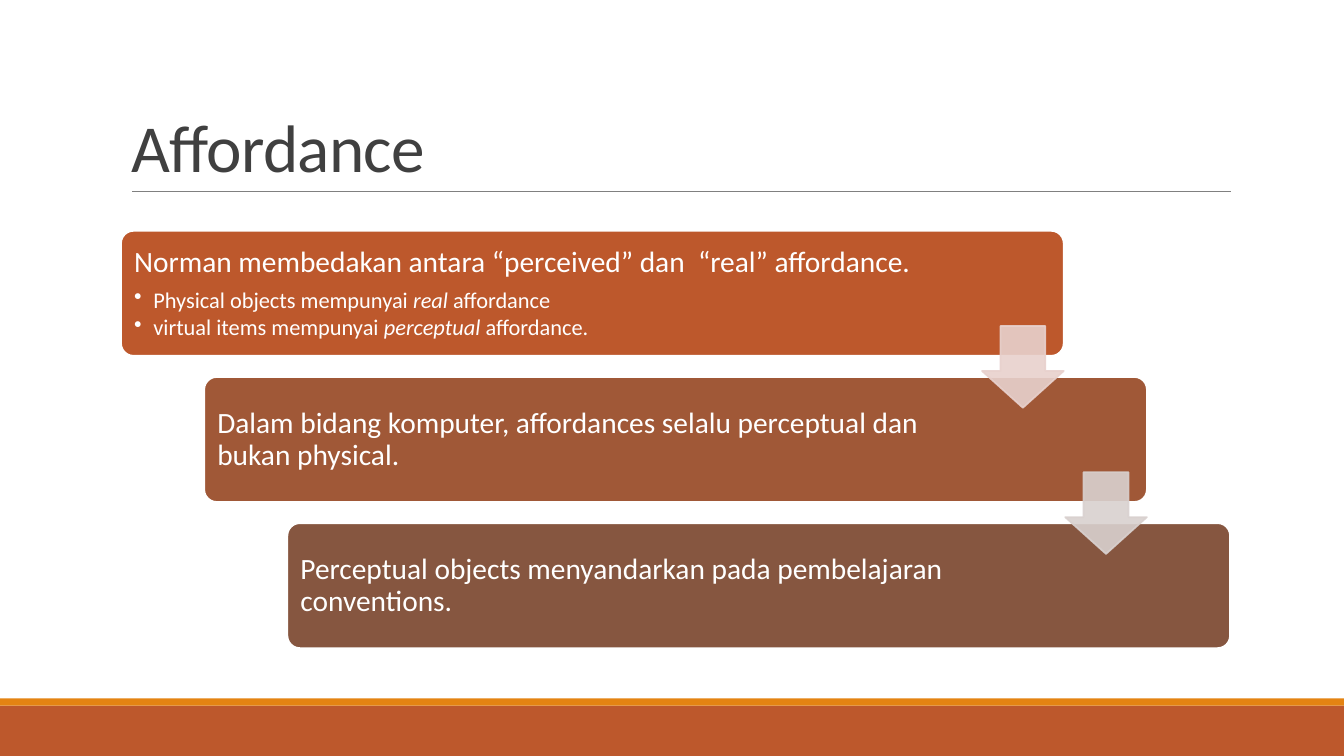
from lxml import etree
from pptx import Presentation
from pptx.dml.color import RGBColor
from pptx.enum import shapes, text
from pptx.oxml import ns
from pptx.util import Inches, Pt

FONT = "Calibri"
WHITE = RGBColor(0xFF, 0xFF, 0xFF)
TITLE_GREY = RGBColor(0x40, 0x40, 0x40)
RULE_GREY = RGBColor(0x80, 0x80, 0x80)
RUST = RGBColor(0xBD, 0x58, 0x2C)
ORANGE = RGBColor(0xE4, 0x83, 0x12)
SIENNA = RGBColor(0xA0, 0x58, 0x37)
BROWN = RGBColor(0x86, 0x56, 0x40)
PINK = RGBColor(0xE8, 0xD1, 0xCD)
PALE_GREY = RGBColor(0xD9, 0xD1, 0xCF)

# Each step: fill, text width, paragraphs of (is bullet, [(text, italic), ...])
STEPS = [
    (RUST, 8.01, [
        (False, [("Norman membedakan antara “perceived” dan  “real” affordance.", False)]),
        (True, [("Physical objects mempunyai ", False), ("real", True), (" affordance", False)]),
        (True, [("virtual items mempunyai ", False), ("perceptual", True), (" affordance.", False)]),
    ]),
    (SIENNA, 7.64, [
        (False, [("Dalam bidang komputer, affordances selalu perceptual dan bukan physical.", False)]),
    ]),
    (BROWN, 7.64, [
        (False, [("Perceptual objects menyandarkan pada pembelajaran conventions.", False)]),
    ]),
]
ARROW_COLORS = [PINK, PALE_GREY]
STEP_LEFT, STEP_TOP, STEP_WIDTH, STEP_HEIGHT = 1.2, 2.29, 9.35, 1.24
SHIFT_X, SHIFT_Y = 0.825, 1.45
ARROW_LEFT, ARROW_TOP, ARROW_SIZE = 9.74, 3.235, 0.81


def add_block(slide, kind, box, fill, line=None):
    shape = slide.shapes.add_shape(kind, *map(Inches, box))
    shape.shadow.inherit = False
    shape.fill.solid()
    shape.fill.fore_color.rgb = fill
    if line is None:
        shape.line.fill.background()
    else:
        shape.line.color.rgb = line
        shape.line.width = Pt(1.25)
    return shape


def add_bullet(paragraph):
    properties = paragraph._p.get_or_add_pPr()
    properties.set("marL", str(Inches(0.19)))
    properties.set("indent", str(-Inches(0.19)))
    etree.SubElement(properties, ns.qn("a:buChar")).set("char", "•")
    paragraph.level = 1


def add_step_text(slide, box, paragraphs):
    frame = slide.shapes.add_textbox(*map(Inches, box)).text_frame
    frame.word_wrap = True
    frame.vertical_anchor = text.MSO_ANCHOR.MIDDLE
    frame.margin_left = frame.margin_right = Inches(0.09)
    frame.margin_top = frame.margin_bottom = Inches(0.09)
    for index, (is_bullet, runs) in enumerate(paragraphs):
        paragraph = frame.add_paragraph() if index else frame.paragraphs[0]
        if is_bullet:
            add_bullet(paragraph)
        paragraph.line_spacing = 0.9
        paragraph.space_after = Pt(2.4 if is_bullet else 7.35)
        paragraph.font.name = FONT
        paragraph.font.size = Pt(16 if is_bullet else 21)
        paragraph.font.color.rgb = WHITE
        for words, italic in runs:
            run = paragraph.add_run()
            run.text = words
            if italic:
                run.font.italic = True


def add_arrow(slide, left, top, color):
    arrow = add_block(slide, shapes.MSO_SHAPE.DOWN_ARROW,
                      (left, top, ARROW_SIZE, ARROW_SIZE), color, color)
    arrow.adjustments[0] = 0.55
    arrow.adjustments[1] = 0.45
    # Fill and outline are 90% opaque
    for color_element in arrow._element.spPr.iter(ns.qn("a:srgbClr")):
        etree.SubElement(color_element, ns.qn("a:alpha")).set("val", "90000")


def add_rule(slide):
    rule = slide.shapes.add_connector(shapes.MSO_CONNECTOR.STRAIGHT, Inches(1.31),
                                      Inches(1.9), Inches(12.21), Inches(1.9))
    rule.line.color.rgb = RULE_GREY
    rule.line.width = Pt(0.5)
    etree.SubElement(rule._element.spPr, ns.qn("a:effectLst"))


def set_title(slide, words):
    title = slide.shapes.title
    title.left, title.top = Inches(1.2), Inches(0.31)
    title.width, title.height = Inches(11), Inches(1.59)
    frame = title.text_frame
    frame.vertical_anchor = text.MSO_ANCHOR.BOTTOM
    paragraph = frame.paragraphs[0]
    paragraph.alignment = text.PP_ALIGN.LEFT
    paragraph.line_spacing = 0.85
    paragraph.font.name = FONT
    paragraph.font.size = Pt(48)
    paragraph.font.color.rgb = TITLE_GREY
    run = paragraph.add_run()
    run.text = words
    run._r.get_or_add_rPr().set("spc", "-50")


def main():
    presentation = Presentation()
    presentation.slide_width = Inches(13.33)
    presentation.slide_height = Inches(7.5)
    slide = presentation.slides.add_slide(presentation.slide_layouts[5])

    # Footer bands, title and rule
    add_block(slide, shapes.MSO_SHAPE.RECTANGLE, (0, 7, 13.33, 0.5), RUST)
    add_block(slide, shapes.MSO_SHAPE.RECTANGLE, (0, 6.93, 13.33, 0.07), ORANGE)
    add_rule(slide)
    set_title(slide, "Affordance")

    # Staggered steps
    for index, (fill, text_width, paragraphs) in enumerate(STEPS):
        left = STEP_LEFT + index * SHIFT_X
        top = STEP_TOP + index * SHIFT_Y
        step = add_block(slide, shapes.MSO_SHAPE.ROUNDED_RECTANGLE,
                         (left, top, STEP_WIDTH, STEP_HEIGHT), fill, WHITE)
        step.adjustments[0] = 0.1
        add_step_text(slide, (left + 0.04, top + 0.04, text_width, 1.17), paragraphs)

    # Arrows between steps
    for index, color in enumerate(ARROW_COLORS):
        add_arrow(slide, ARROW_LEFT + index * SHIFT_X, ARROW_TOP + index * SHIFT_Y, color)

    presentation.save("out.pptx")


if __name__ == "__main__":
    main()
